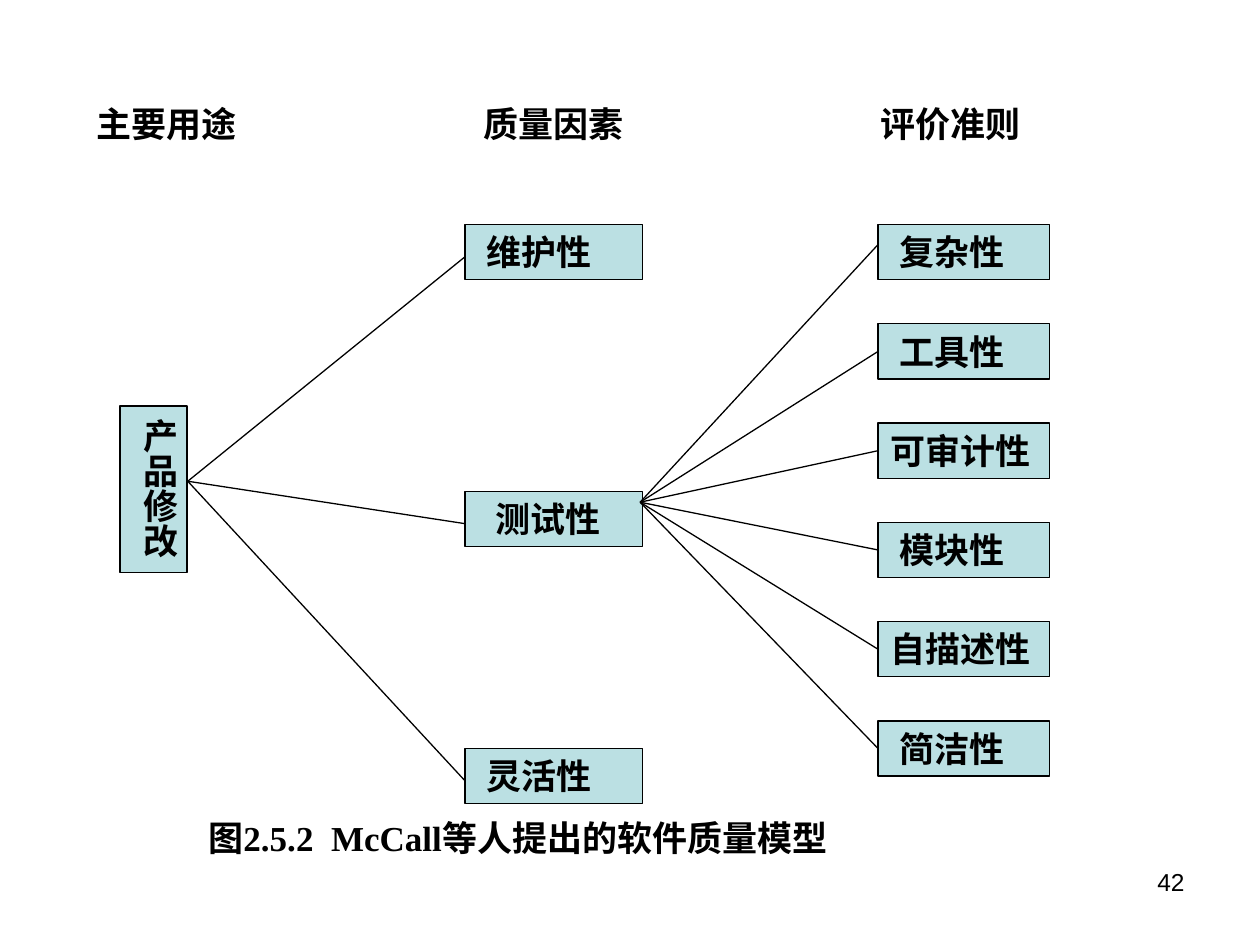
from collections import namedtuple

from lxml import etree
from pptx import Presentation
from pptx.dml.color import RGBColor
from pptx.enum import shapes, text
from pptx.oxml import ns
from pptx.util import Pt

Theme = namedtuple("Theme", "ink box font size page_font page_size line")
theme = Theme(RGBColor(0, 0, 0), RGBColor(0xBB, 0xE0, 0xE3),
              "Times New Roman", Pt(20), "Arial", Pt(14), Pt(0.75))

prs = Presentation()
prs.slide_width, prs.slide_height = Pt(720), Pt(540)
s = prs.slides.add_slide(prs.slide_layouts[6])


def add_label(words, x, y, w, h, boxed=False, indent=0, wrap=True):
    """Add a bold label, either plain or in a filled box."""
    frame = Pt(x), Pt(y), Pt(w), Pt(h)
    if boxed:
        sp = s.shapes.add_shape(shapes.MSO_SHAPE.RECTANGLE, *frame)
        sp.shadow.inherit = False
        sp.fill.solid()
        sp.fill.fore_color.rgb = theme.box
        sp.line.color.rgb = theme.ink
        sp.line.width = theme.line
    else:
        sp = s.shapes.add_textbox(*frame)
    tf = sp.text_frame
    tf.word_wrap = wrap
    tf.vertical_anchor = text.MSO_ANCHOR.TOP
    tf.margin_left = Pt(7.2 + indent)
    p = tf.paragraphs[0]
    p.text = words
    p.alignment = text.PP_ALIGN.LEFT
    p.font.name, p.font.size, p.font.bold = theme.font, theme.size, True
    p.font.color.rgb = theme.ink
    return sp


def add_line(x1, y1, x2, y2):
    """Add a thin straight line without a shadow."""
    line = s.shapes.add_connector(shapes.MSO_CONNECTOR.STRAIGHT,
                                  Pt(x1), Pt(y1), Pt(x2), Pt(y2))
    line.line.color.rgb = theme.ink
    line.line.width = theme.line
    etree.SubElement(line._element.spPr, ns.qn("a:effectLst"))
    return line


# Column headings and caption
for words, x, w in [("主要用途", 48, 120), ("质量因素", 269, 121), ("评价准则", 496, 110)]:
    add_label(words, x, 55, w, 31.5)
add_label("图2.5.2  McCall等人提出的软件质量模型", 112, 463, 378, 31.5, wrap=False)

# Main use: one box with vertical text
box_h, top = 31.5, 128.3
use = add_label("产品修改", 68.5, 232, 38.3, 95.2, boxed=True)
tf = use.text_frame
tf.margin_left = tf.margin_right = Pt(3.6)
tf.margin_top = tf.margin_bottom = Pt(7.2)
tf._txBody.bodyPr.set("vert", "eaVert")

# Quality factors, each reached by a line just below its middle
factor_x = 265.7
for words, y, indent in [("维护性", top, 5), ("测试性", 280.8, 10), ("灵活性", 427.7, 5)]:
    add_label(words, factor_x, y, 101.5, box_h, boxed=True, indent=indent)
    add_line(107.3, 275, factor_x, y + box_h / 2 + 2.7)

# Criteria, evenly spaced, fanning out from testability
criterion_x, pitch = 501.8, 56.75
criteria = ["复杂性", "工具性", "可审计性", "模块性", "自描述性", "简洁性"]
for i, words in enumerate(criteria):
    y = top + i * pitch
    indent = 5 if len(words) == 3 else 0
    sp = add_label(words, criterion_x, y, 98, box_h, boxed=True, indent=indent)
    if i == 0:  # the first line meets its box above the middle
        add_line(365.8, 287, criterion_x, y + 11.4)
    else:
        add_line(365.8, 287, criterion_x, y + box_h / 2).end_connect(sp, 1)

# Page number
p = add_label("42", 516, 492, 168, 37.5).text_frame.paragraphs[0]
p.alignment = text.PP_ALIGN.RIGHT
p.font.name, p.font.size, p.font.bold = theme.page_font, theme.page_size, False

prs.save("out.pptx")
